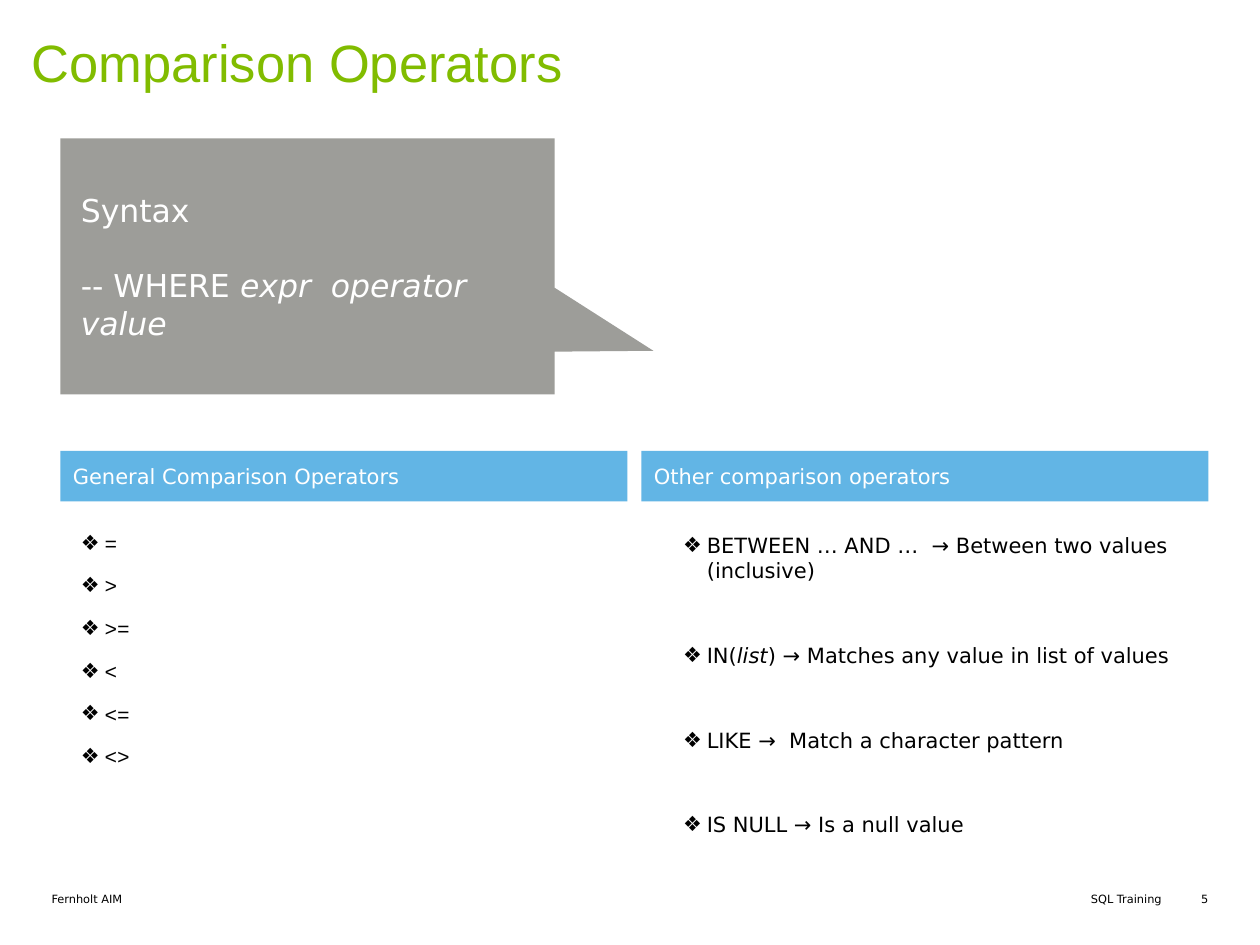
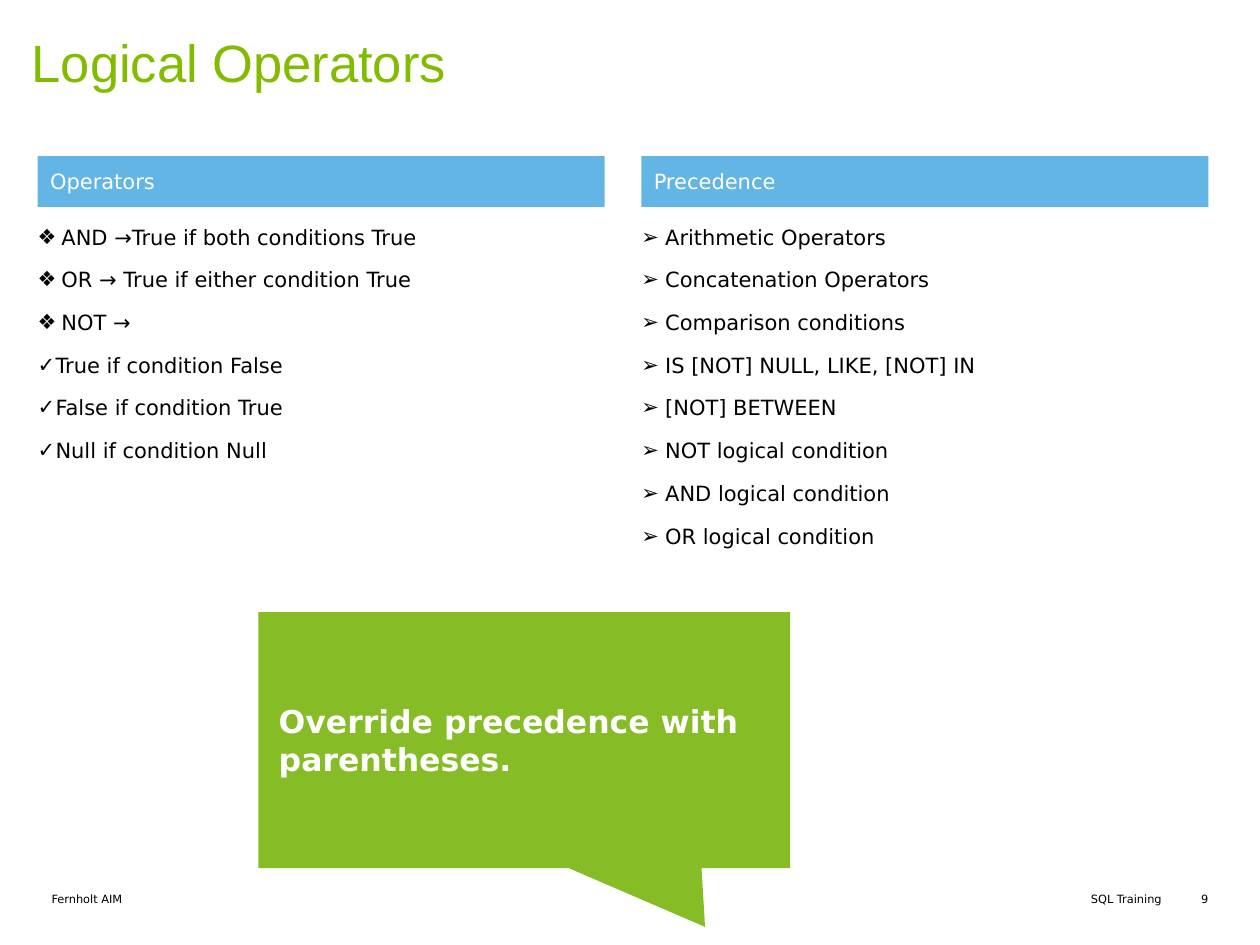
"""Build two SQL training slides on comparison and logical operators."""
from dataclasses import dataclass, replace

from lxml.etree import SubElement
from pptx import Presentation
from pptx.dml.color import RGBColor
from pptx.enum.shapes import MSO_SHAPE as Shape
from pptx.enum.text import MSO_ANCHOR as Anchor, PP_ALIGN as Align
from pptx.oxml.ns import qn
from pptx.util import Cm, Pt

TITLE_GREEN = RGBColor(0x81, 0xBC, 0x00)
CALLOUT_GREEN = RGBColor(0x86, 0xBC, 0x25)
GREY = RGBColor(0x9D, 0x9D, 0x99)
BLUE = RGBColor(0x62, 0xB5, 0xE5)
BLACK = RGBColor(0x00, 0x00, 0x00)
WHITE = RGBColor(0xFF, 0xFF, 0xFF)

DIAMOND, ARROW, CHECK = "❖", "➢", "✓"
WIDE_INDENT, CHECK_INDENT = 0.48, 0.36
RIGHT_COLUMN = 12.93


@dataclass(frozen=True)
class Style:
    size: float
    color: RGBColor = BLACK
    font: str = "DejaVu Sans"
    bold: bool = False


TITLE = Style(30, TITLE_GREEN, "Arial")
FOOTER = Style(6.5)
HEADING = Style(12, WHITE)
BODY = Style(12)
CODE = replace(BODY, font="Courier New")
CALLOUT = Style(18, WHITE)


def set_frame(frame, inset=0.0, anchor=Anchor.TOP):
    frame.word_wrap = True
    frame.vertical_anchor = anchor
    frame.margin_left = frame.margin_right = Cm(inset)
    frame.margin_top = frame.margin_bottom = Cm(inset)
    return frame


def add_run(paragraph, text, style, italic=False):
    run = paragraph.add_run()
    run.text = text
    run.font.size = Pt(style.size)
    run.font.name = style.font
    run.font.color.rgb = style.color
    run.font.bold = style.bold
    run.font.italic = italic


def write_lines(frame, lines, style, space_after=0, align=Align.LEFT):
    """Write one paragraph per line; a line is a string or (text, italic) pairs."""
    for index, line in enumerate(lines):
        paragraph = frame.add_paragraph() if index else frame.paragraphs[0]
        paragraph.alignment = align
        paragraph.space_after = Pt(space_after if index < len(lines) - 1 else 0)
        for text, italic in [(line, False)] if isinstance(line, str) else line:
            add_run(paragraph, text, style, italic)


def add_text(slide, box, lines, style, space_after=0, align=Align.LEFT):
    frame = set_frame(slide.shapes.add_textbox(*map(Cm, box)).text_frame)
    write_lines(frame, lines, style, space_after, align)
    return frame


def set_bullet(paragraph, mark, indent):
    properties = paragraph._p.get_or_add_pPr()
    properties.set("marL", str(Cm(indent)))
    properties.set("indent", str(-Cm(indent)))
    SubElement(properties, qn("a:buFont")).set("typeface", "DejaVu Sans")
    SubElement(properties, qn("a:buChar")).set("char", mark)


def add_bullets(slide, box, items, mark=DIAMOND, style=BODY, space_after=10, checks=()):
    frame = add_text(slide, box, [*items, *checks], style, space_after)
    for index, paragraph in enumerate(frame.paragraphs):
        if index < len(items):
            set_bullet(paragraph, mark, WIDE_INDENT)
        else:
            set_bullet(paragraph, CHECK, CHECK_INDENT)


def add_block(slide, kind, box, fill, inset):
    block = slide.shapes.add_shape(kind, *map(Cm, box))
    block.shadow.inherit = False
    block.fill.solid()
    block.fill.fore_color.rgb = fill
    block.line.fill.background()
    set_frame(block.text_frame, inset, Anchor.MIDDLE)
    return block


def add_heading(slide, left, top, text):
    band = add_block(slide, Shape.RECTANGLE, (left, top, 11.43, 1.02), BLUE, 0.25)
    write_lines(band.text_frame, [text], HEADING)


def add_callout(slide, box, fill, tip, lines, style, space_after=0):
    callout = add_block(slide, Shape.RECTANGULAR_CALLOUT, box, fill, 0.41)
    callout.adjustments[0], callout.adjustments[1] = tip
    write_lines(callout.text_frame, lines, style, space_after)


def add_base(deck, title, number):
    """Add a blank slide with its title and footer."""
    slide = deck.slides.add_slide(deck.slide_layouts[6])
    add_text(slide, (13.21, 17.98, 10.21, 0.56), ["SQL Training"], FOOTER, align=Align.RIGHT)
    add_text(slide, (1.04, 17.98, 11.15, 0.56), ["Fernholt AIM"], FOOTER)
    add_text(slide, (23.72, 17.98, 0.64, 0.28), [str(number)], FOOTER, align=Align.RIGHT)
    add_text(slide, (0.64, 0.61, 23.32, 1.93), [title], TITLE)
    return slide


def build_comparison(deck):
    slide = add_base(deck, "Comparison Operators", 5)
    syntax = [("-- WHERE ", False), ("expr  operator  value", True)]
    add_callout(slide, (1.22, 2.79, 9.96, 5.16), GREY, (0.7, 0.33),
                ["Syntax", syntax], CALLOUT, space_after=21)
    add_heading(slide, 1.22, 9.09, "General Comparison Operators")
    add_heading(slide, RIGHT_COLUMN, 9.09, "Other comparison operators")
    add_bullets(slide, (1.63, 10.69, 7.9, 4.67),
                ["=", ">", ">=", "<", "<=", "<>"], style=CODE)
    add_bullets(slide, (13.77, 10.74, 10.97, 6.76), [
        "BETWEEN … AND …  → Between two values (inclusive)",
        [("IN(", False), ("list", True), (") → Matches any value in list of values", False)],
        "LIKE →  Match a character pattern",
        "IS NULL → Is a null value",
    ], space_after=34)


def build_logical(deck):
    slide = add_base(deck, "Logical Operators", 9)
    add_heading(slide, 0.76, 3.15, "Operators")
    add_heading(slide, RIGHT_COLUMN, 3.15, "Precedence")
    add_bullets(slide, (0.76, 4.52, 10.62, 4.67), [
        "AND →True if both conditions True",
        "OR → True if either condition True",
        "NOT →",
    ], checks=[
        "True if condition False",
        "False if condition True",
        "Null if condition Null",
    ])
    add_bullets(slide, (RIGHT_COLUMN, 4.52, 10.62, 6.88), [
        "Arithmetic Operators",
        "Concatenation Operators",
        "Comparison conditions",
        "IS [NOT] NULL, LIKE, [NOT] IN",
        "[NOT] BETWEEN",
        "NOT logical condition",
        "AND logical condition",
        "OR logical condition",
    ], ARROW)
    add_callout(slide, (5.21, 12.34, 10.72, 5.16), CALLOUT_GREEN, (0.34, 0.73),
                ["Override precedence with parentheses."], replace(CALLOUT, bold=True))


def main():
    deck = Presentation()
    deck.slide_width, deck.slide_height = Cm(25.4), Cm(19.05)
    build_comparison(deck)
    build_logical(deck)
    deck.save("out.pptx")


if __name__ == "__main__":
    main()
